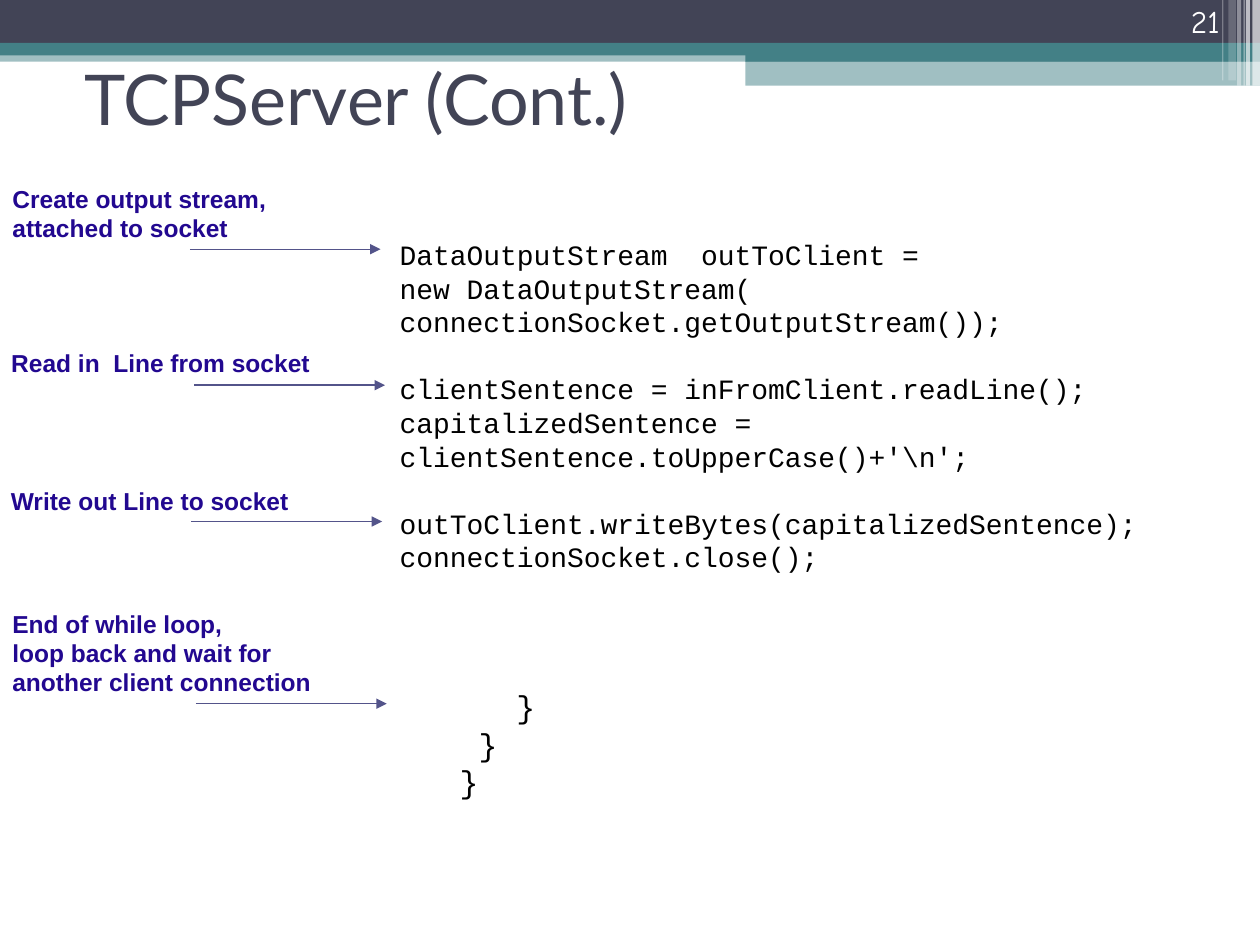
"""Build the TCPServer (Cont.) slide with annotated code."""
from lxml import etree
from pptx import Presentation
from pptx import util as u
from pptx.dml.color import RGBColor
from pptx.enum import shapes, text
from pptx.oxml.ns import qn


def color(value):
    return RGBColor.from_string(value)


def write(wording, left, top, width, height, size, font, fill, bold=False, wrap=True,
          align=text.PP_ALIGN.LEFT, anchor=text.MSO_ANCHOR.MIDDLE, leading=None):
    frame = slide.shapes.add_textbox(*map(u.Pt, (left, top, width, height))).text_frame
    frame.word_wrap = wrap
    frame.vertical_anchor = anchor
    frame.text = wording
    for line in frame.paragraphs:
        line.alignment = align
        line.font.size = u.Pt(size)
        line.font.name = font
        line.font.bold = bold
        line.font.color.rgb = color(fill)
        if leading:
            line.line_spacing = u.Pt(leading)
    return frame


deck = Presentation()
deck.slide_width, deck.slide_height = u.Pt(720), u.Pt(540)
slide = deck.slides.add_slide(deck.slide_layouts[6])

bands = [
    (0, 28.8, 720, 6.5, "438086", 50),
    (0, 0, 720, 24.5, "424456", 100),
    (0, 24.5, 720, 7.2, "438086", 100),
    (426, 28, 294, 7.2, "438086", 100),
    (426, 35, 294, 14, "438086", 50),
    (715.7, 0, 4.3, 49, "FFFFFF", 65),
    (712, 0, 2.2, 49, "FFFFFF", 65),
    (710.6, 0, 0.7, 49, "FFFFFF", 60),
    (707, 0, 2.2, 49, "FFFFFF", 40),
    (702, 0, 4.3, 46, "FFFFFF", 20),
    (698.4, 0, 0.7, 46, "FFFFFF", 30),
]
for left, top, width, height, fill, opacity in bands:
    band = slide.shapes.add_shape(
        shapes.MSO_SHAPE.RECTANGLE, *map(u.Pt, (left, top, width, height)))
    band.shadow.inherit = False
    band.line.fill.background()
    band.fill.solid()
    band.fill.fore_color.rgb = color(fill)
    if opacity < 100:
        tint = band.fill._xPr.find(".//" + qn("a:srgbClr"))
        etree.SubElement(tint, qn("a:alpha"), val=str(opacity * 1000))

code = """ DataOutputStream  outToClient =
 new DataOutputStream(
 connectionSocket.getOutputStream());
 clientSentence = inFromClient.readLine();
 capitalizedSentence =
 clientSentence.toUpperCase()+'\\n';
 outToClient.writeBytes(capitalizedSentence);
 connectionSocket.close();
     }
   }
  }"""
listing = write(code, 175.7, 132.3, 535, 355, 16, "Courier New", "000000",
                anchor=text.MSO_ANCHOR.TOP, leading=19.2)
gaps = {3: 19.2, 6: 19.2, 8: 64.8}
for number, line in enumerate(listing.paragraphs):
    closing = line.text.endswith("}")
    line._p.get_or_add_pPr().set("marL", str(u.Pt(58.3 if closing else 36)))
    if closing:
        line.font.size = u.Pt(18)
        line.line_spacing = u.Pt(21.6)
    if number in gaps:
        line.space_before = u.Pt(gaps[number])

notes = [
    ("Create output stream, attached to socket", 0, 101.5, 166.3, 41, True, 108.5, 142.4),
    ("Read in  Line from socket", -0.7, 195.1, 218, 24.5, True, 111, 220.1),
    ("Write out Line to socket", -0.9, 273.6, 221, 24.5, True, 109.4, 298),
    ("End of while loop,\nloop back and wait for\nanother client connection",
     0, 344.2, 185, 57.6, False, 112, 402.1),
]
for wording, left, top, width, height, wrap, start, level in notes:
    write(wording, left, top, width, height, 14, "Arial", "220890",
          bold=True, wrap=wrap, leading=16.8)
    arrow = slide.shapes.add_connector(
        shapes.MSO_CONNECTOR.STRAIGHT, *map(u.Pt, (start, level, start + 109, level)))
    arrow.line.color.rgb = color("53548A")
    arrow.line.width = u.Pt(0.75)
    etree.SubElement(arrow.line._get_or_add_ln(), qn("a:tailEnd"), type="triangle")
    etree.SubElement(arrow._element.spPr, qn("a:effectLst"))

write("TCPServer (Cont.)", 41, 21.6, 612, 67.7, 40, "Lato", "424456")
write("21", 644.4, -2.2, 59.8, 28.8, 18, "Comic Neue", "FFFFFF",
      align=text.PP_ALIGN.RIGHT, anchor=text.MSO_ANCHOR.BOTTOM)

deck.save("out.pptx")
